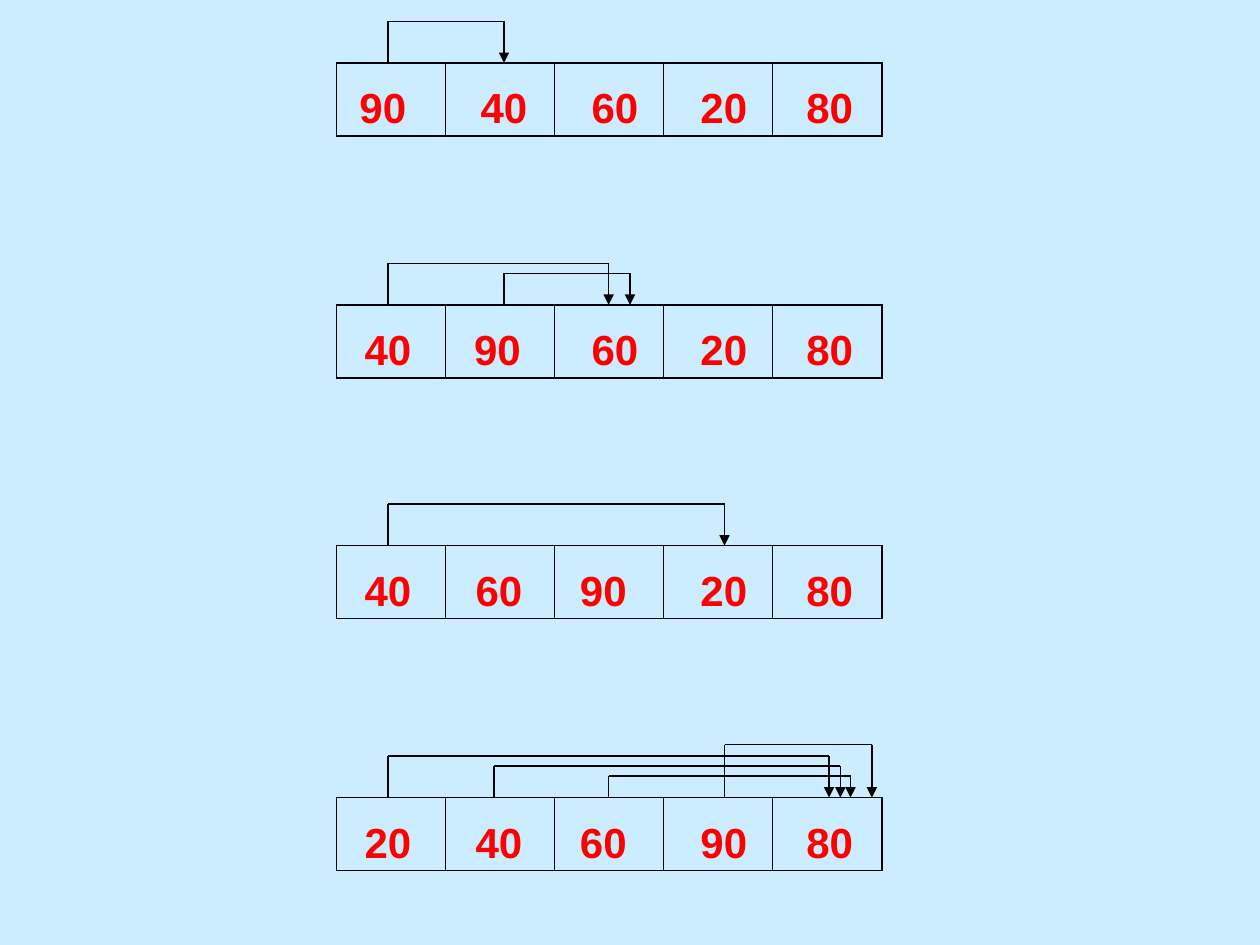
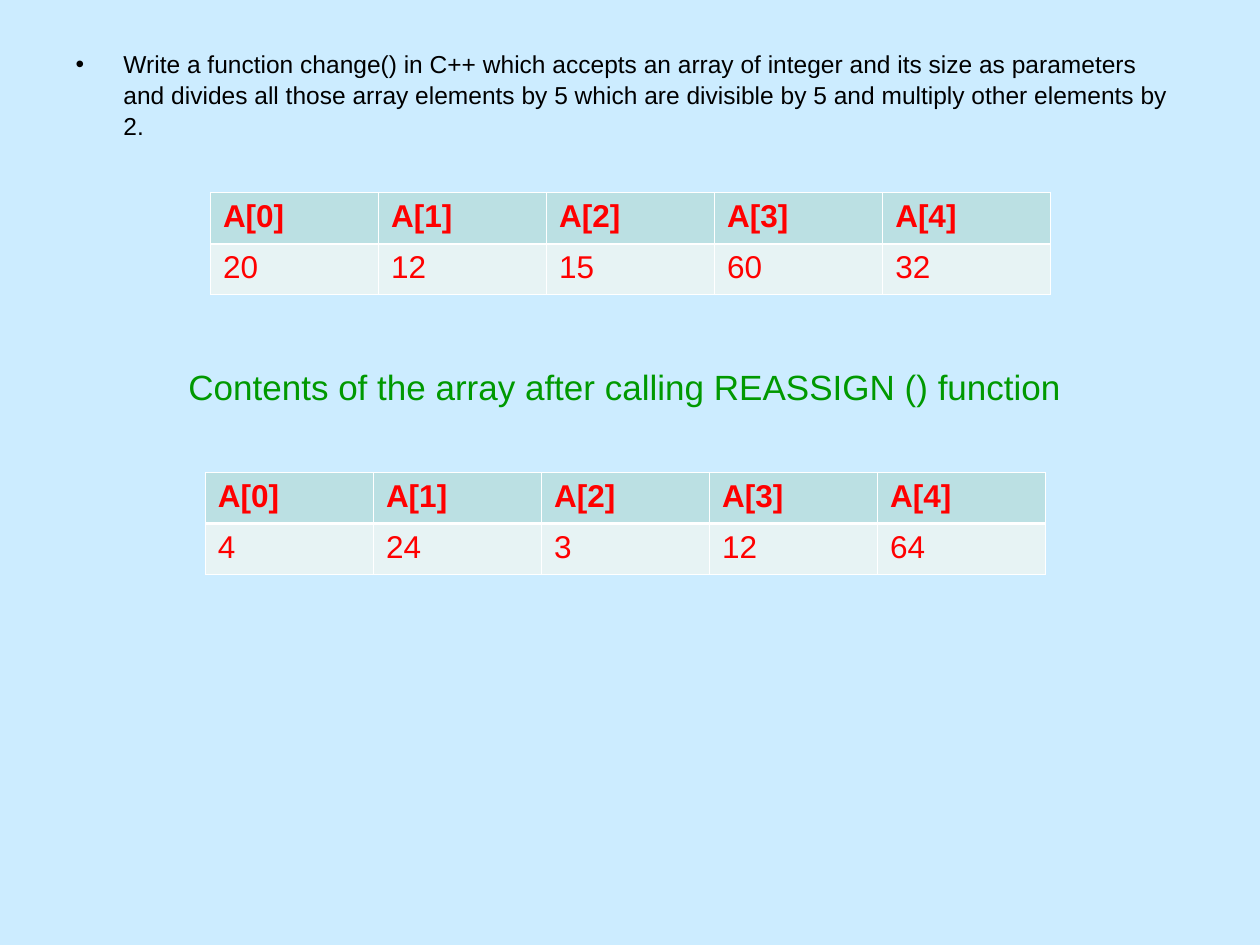
from pptx import Presentation
from pptx import util as u
from pptx.dml.color import RGBColor
from pptx.enum import shapes, text
from pptx.oxml import ns
from lxml import etree

BACKGROUND, BLACK, WHITE = "CCECFF", "000000", "FFFFFF"
RED, GREEN = "FF0000", "009900"
HEADER_FILL, VALUE_FILL = "BBE0E3", "E7F3F4"
FONT = "Arial"
THIN, THICK, RULE = 0.45, 1.08, 1.47
COLUMNS = 5

# Sorting steps: array top, numbers (text, left, width), arcs (start, end, height)
LAST_TWO = [("20", 5.33, 0.83), ("80", 6.17, 0.83)]
STEPS = [
    (0.5, [("90 ", 2.67, 0.83), ("40", 3.5, 1), ("60", 4.42, 0.92)] + LAST_TWO,
     [(3.08, 4, 0.33)]),
    (2.42, [("40", 2.58, 1), ("90 ", 3.58, 0.83), ("60", 4.42, 0.92)] + LAST_TWO,
     [(3.08, 4.83, 0.33), (4, 5, 0.25)]),
    (4.33, [("40", 2.58, 1), ("60", 3.5, 0.92), ("90 ", 4.42, 0.83)] + LAST_TWO,
     [(3.08, 5.75, 0.33)]),
    (6.33, [("20", 2.58, 1), ("40", 3.5, 0.92), ("60 ", 4.42, 0.83),
            ("90", 5.33, 0.83), ("80", 6.17, 0.83)],
     [(3.08, 6.58, 0.33), (3.92, 6.67, 0.25), (4.83, 6.75, 0.17), (5.75, 6.92, 0.42)]),
]

QUESTION = ("Write a function change() in C++ which accepts an array of integer and its size "
            "as parameters and divides all those array elements by 5 which are divisible by 5 "
            "and multiply other elements by 2.")


def color(value):
    return RGBColor.from_string(value)


def write(frame, words, size=18, fill=RED, bold=False, align=None):
    """Put one formatted paragraph into a text frame."""
    paragraph = frame.paragraphs[0]
    run = paragraph.add_run()
    run.text = words
    run.font.name = FONT
    run.font.size = u.Pt(size)
    run.font.bold = bold
    run.font.color.rgb = color(fill)
    paragraph.alignment = align
    return paragraph


def add_label(slide, words, left, top, width, height, **style):
    box = slide.shapes.add_textbox(*map(u.Inches, (left, top, width, height)))
    frame = box.text_frame
    frame.word_wrap = True
    frame.margin_top = u.Inches(0.07)
    frame.margin_bottom = u.Inches(0.03)
    write(frame, words, align=text.PP_ALIGN.CENTER, **style)


def add_line(slide, start, end, arrow=False):
    line = slide.shapes.add_connector(shapes.MSO_CONNECTOR.STRAIGHT,
                                      *map(u.Inches, (*start, *end)))
    line.line.color.rgb = color(BLACK)
    line.line.width = u.Pt(0.75)
    if arrow:
        etree.SubElement(line.line._get_or_add_ln(), ns.qn("a:tailEnd"), type="triangle")
    etree.SubElement(line._element.spPr, ns.qn("a:effectLst"))


def add_arc(slide, start, end, base, height):
    """Three lines: up from one cell, across, and down to another."""
    top = base - height
    add_line(slide, (start, top), (start, base))
    add_line(slide, (start, top), (end, top))
    add_line(slide, (end, top), (end, base), arrow=True)


def set_borders(cell, line_color, **widths):
    properties = cell._tc.get_or_add_tcPr()
    for side in ("L", "R", "T", "B"):
        border = etree.SubElement(properties, ns.qn("a:ln" + side),
                                  w=str(u.Pt(widths[side])))
        fill = etree.SubElement(border, ns.qn("a:solidFill"))
        etree.SubElement(fill, ns.qn("a:srgbClr"), val=line_color)


def add_grid(slide, rows, left, top, width, height):
    frame = slide.shapes.add_table(rows, COLUMNS, *map(u.Inches, (left, top, width, height)))
    frame.table.first_row = frame.table.horz_banding = False
    return frame.table


def add_empty_array(slide, top):
    table = add_grid(slide, 1, 2.67, top, 4.33, 0.58)
    for index, cell in enumerate(table.iter_cells()):
        set_borders(cell, BLACK, T=THICK, B=THICK,
                    L=THICK if index == 0 else THIN,
                    R=THICK if index == COLUMNS - 1 else THIN)
        cell.fill.background()


def add_array_table(slide, values, left, top):
    table = add_grid(slide, 2, left, top, 6.67, 0.81)
    for column, value in enumerate(values):
        header, number = table.cell(0, column), table.cell(1, column)
        set_borders(header, WHITE, L=THIN, R=THIN, T=THIN, B=RULE)
        set_borders(number, WHITE, L=THIN, R=THIN, T=RULE, B=THIN)
        for cell, fill in ((header, HEADER_FILL), (number, VALUE_FILL)):
            cell.fill.solid()
            cell.fill.fore_color.rgb = color(fill)
        write(header.text_frame, f"A[{column}]", bold=True)
        write(number.text_frame, str(value))


def fill_body(body, words):
    """Place the body placeholder and write one bulleted paragraph."""
    body.left, body.top, body.width, body.height = map(u.Inches, (0.5, 0.33, 9, 6.37))
    properties = body.text_frame.paragraphs[0]._p.get_or_add_pPr()
    properties.set("marL", str(u.Inches(0.38)))
    properties.set("indent", str(-u.Inches(0.38)))
    bullet_color = etree.SubElement(properties, ns.qn("a:buClr"))
    etree.SubElement(bullet_color, ns.qn("a:srgbClr"), val=BLACK)
    etree.SubElement(properties, ns.qn("a:buFont"), typeface=FONT)
    etree.SubElement(properties, ns.qn("a:buChar"), char="•")
    paragraph = write(body.text_frame, words, size=14, fill=BLACK)
    paragraph.space_before = u.Pt(0)
    paragraph.line_spacing = 1.05


def build_sorting_slide(presentation):
    slide = presentation.slides.add_slide(presentation.slide_layouts[6])
    for top, numbers, arcs in STEPS:
        add_empty_array(slide, top)
        for words, left, width in numbers:
            add_label(slide, words, left, top + 0.08, width, 0.5, size=24, bold=True)
        for start, end, height in arcs:
            add_arc(slide, start, end, top, height)


def build_question_slide(presentation):
    slide = presentation.slides.add_slide(presentation.slide_layouts[1])
    title = slide.shapes.title
    title._element.getparent().remove(title._element)
    fill_body(slide.placeholders[1], QUESTION)
    add_array_table(slide, [20, 12, 15, 60, 32], 1.67, 1.53)
    add_array_table(slide, [4, 24, 3, 12, 64], 1.63, 3.75)
    add_label(slide, "Contents of the array after calling REASSIGN () function",
              1, 2.83, 7.92, 0.44, size=20, fill=GREEN)


def main():
    presentation = Presentation()
    presentation.slide_width, presentation.slide_height = u.Inches(10), u.Inches(7.5)
    # Shared background
    background = presentation.slide_master.background.fill
    background.solid()
    background.fore_color.rgb = color(BACKGROUND)
    build_sorting_slide(presentation)
    build_question_slide(presentation)
    presentation.save("out.pptx")


if __name__ == "__main__":
    main()
